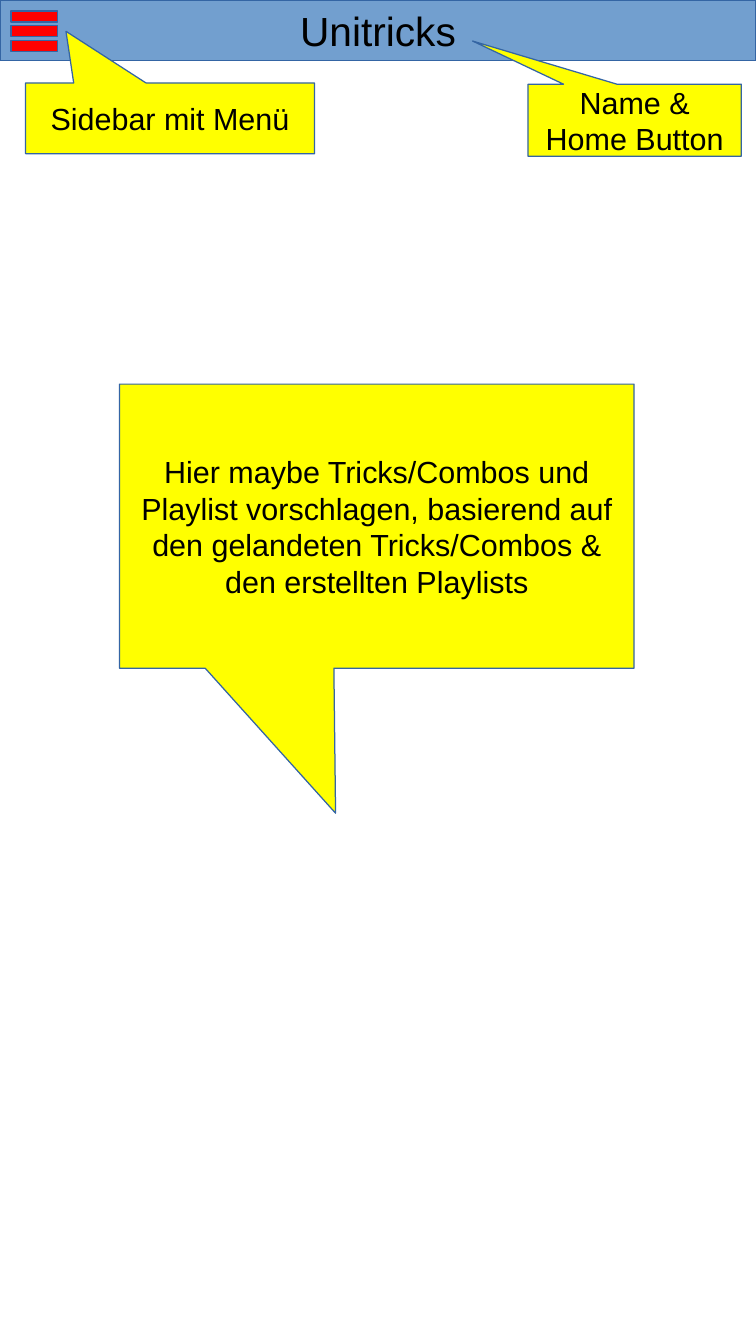
from dataclasses import dataclass

from pptx import Presentation
from pptx.dml.color import RGBColor
from pptx.enum.shapes import MSO_SHAPE as Shape
from pptx.enum.text import MSO_ANCHOR as Anchor, MSO_AUTO_SIZE as AutoSize, PP_ALIGN as Align
from pptx.util import Inches, Pt


@dataclass(frozen=True)
class Theme:
    bar: RGBColor = RGBColor(0x72, 0x9F, 0xCF)
    menu: RGBColor = RGBColor(0xFF, 0x00, 0x00)
    note: RGBColor = RGBColor(0xFF, 0xFF, 0x00)
    outline: RGBColor = RGBColor(0x34, 0x65, 0xA4)
    ink: RGBColor = RGBColor(0x00, 0x00, 0x00)
    font: str = "Arial"
    title_size: int = 24
    note_size: int = 18


THEME = Theme()
PAGE_WIDTH, PAGE_HEIGHT = 6.2, 11.02
FRAME_FORMAT = {
    "auto_size": AutoSize.NONE,
    "word_wrap": True,
    "vertical_anchor": Anchor.MIDDLE,
    "margin_left": Inches(0.1),
    "margin_right": Inches(0.1),
    "margin_top": Inches(0.05),
    "margin_bottom": Inches(0.05),
}

# Callouts: text, box (left, top, width, height), tip offset from the centre
CALLOUTS = [
    ("Sidebar mit Menü", (0.21, 0.68, 2.37, 0.58), (-0.36, -1.23)),
    ("Name & Home Button", (4.33, 0.69, 1.75, 0.59), (-0.76, -1.1)),
    ("Hier maybe Tricks/Combos und Playlist vorschlagen, basierend auf "
     "den gelandeten Tricks/Combos & den erstellten Playlists",
     (0.98, 3.15, 4.22, 2.33), (-0.08, 1.01)),
]


def set_all(target, values):
    for name, value in values.items():
        setattr(target, name, value)


def paint(shape, color):
    shape.fill.solid()
    shape.fill.fore_color.rgb = color
    shape.line.color.rgb = THEME.outline
    shape.line.width = Pt(0)


def write(shape, text, size):
    set_all(shape.text_frame, FRAME_FORMAT)
    para = shape.text_frame.paragraphs[0]
    para.alignment = Align.CENTER
    span = para.add_run()
    span.text = text
    set_all(span.font, {"name": THEME.font, "size": Pt(size)})
    span.font.color.rgb = THEME.ink


def add_box(page, kind, box, color):
    shape = page.shapes.add_shape(kind, *map(Inches, box))
    shape.shadow.inherit = False
    paint(shape, color)
    return shape


def add_header(page, box):
    """Title bar across the top."""
    title = page.shapes.title
    set_all(title, dict(zip(("left", "top", "width", "height"), map(Inches, box))))
    paint(title, THEME.bar)
    write(title, "Unitricks", THEME.title_size)


def add_menu_icon(page, box, bars=3, pitch=0.12):
    """Menu icon of evenly spaced bars."""
    left, top, width, height = box
    bar_height = height - (bars - 1) * pitch
    for index in range(bars):
        bar = (left, top + index * pitch, width, bar_height)
        add_box(page, Shape.FLOWCHART_PROCESS, bar, THEME.menu)


def add_callout(page, text, box, tip):
    """Yellow note whose tip points at a part of the page."""
    note = add_box(page, Shape.RECTANGULAR_CALLOUT, box, THEME.note)
    for index, offset in enumerate(tip):
        note.adjustments[index] = offset
    write(note, text, THEME.note_size)


def main():
    deck = Presentation()
    set_all(deck, {"slide_width": Inches(PAGE_WIDTH), "slide_height": Inches(PAGE_HEIGHT)})
    page = deck.slides.add_slide(deck.slide_layouts.get_by_name("Title Only"))

    # Header with menu icon
    add_header(page, (0, 0, PAGE_WIDTH, 0.5))
    add_menu_icon(page, (0.09, 0.09, 0.38, 0.33))

    # Notes on the mock-up
    for text, box, tip in CALLOUTS:
        add_callout(page, text, box, tip)

    deck.save("out.pptx")


if __name__ == "__main__":
    main()
